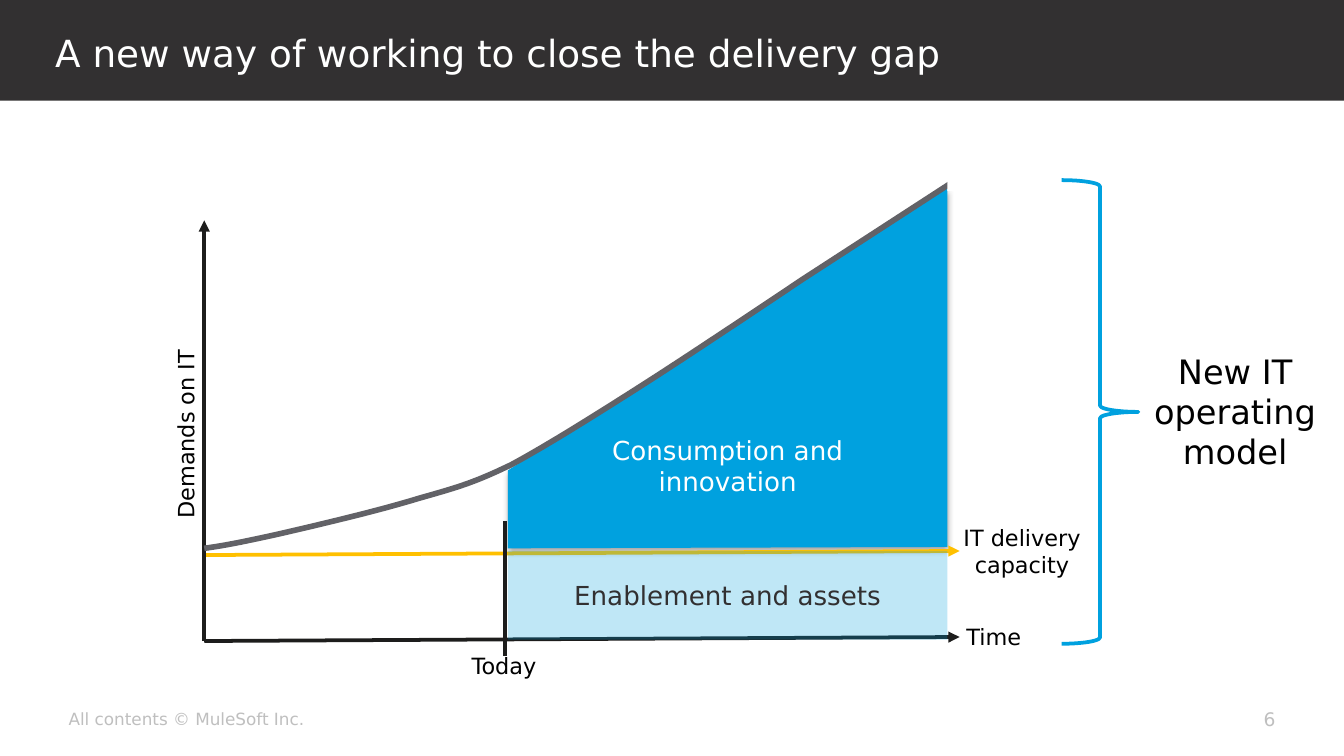
from dataclasses import dataclass
from typing import NamedTuple

from lxml.etree import SubElement
from pptx import Presentation
from pptx.dml.color import RGBColor
from pptx.enum.shapes import MSO_CONNECTOR, MSO_SHAPE
from pptx.enum.text import MSO_ANCHOR as Anchor, PP_ALIGN as Align
from pptx.oxml.ns import qn
from pptx.util import Inches, Pt


@dataclass(frozen=True)
class Theme:
    font: str = "DejaVu Sans"
    dark: str = "323031"
    axis: str = "1D1D1C"
    blue: str = "00A1DF"
    amber: str = "FFC000"
    curve: str = "626267"
    muted: str = "BFBFBF"
    black: str = "000000"
    white: str = "FFFFFF"
    title_size: int = 20
    callout_size: int = 18
    area_size: int = 14
    label_size: int = 12
    page_size: int = 10
    footer_size: int = 9


THEME = Theme()


class Box(NamedTuple):
    left: float
    top: float
    width: float
    height: float


class Point(NamedTuple):
    x: float
    y: float


@dataclass(frozen=True)
class Label:
    text: str
    box: Box
    size: int = THEME.label_size
    color: str = THEME.black
    align: Align = Align.LEFT
    anchor: Anchor = Anchor.TOP
    wrap: bool = False
    rotation: int = 0


@dataclass(frozen=True)
class Line:
    start: Point
    end: Point
    color: str = THEME.axis
    arrow: bool = True


SLIDE_WIDTH = 10
SLIDE_HEIGHT = SLIDE_WIDTH * 9 / 16
ORIGIN = Point(1.52, 4.77)
TODAY_X, AREA_RIGHT, ARROW_X = 3.78, 7.05, 7.14

LINES = [
    Line(ORIGIN, Point(ARROW_X, 4.74)),
    Line(Point(ORIGIN.x, 4.13), Point(ARROW_X, 4.1), THEME.amber),
    Line(Point(3.76, 4.88), Point(3.76, 3.88), arrow=False),
    Line(ORIGIN, Point(ORIGIN.x, 1.64)),
]

LABELS = [
    Label("Demands on IT", Box(0.73, 3.11, 1.3, 0.2), rotation=270),
    Label("Time", Box(7.19, 4.64, 0.41, 0.2)),
    Label("Today", Box(3.51, 4.85, 0.51, 0.2)),
    Label("IT delivery capacity", Box(7.14, 3.9, 0.93, 0.4), align=Align.CENTER, wrap=True),
    Label("New IT operating model", Box(8.58, 2.61, 1.22, 0.91), THEME.callout_size,
          align=Align.CENTER, wrap=True),
    Label("All contents © MuleSoft Inc.", Box(0.51, 5.2, 2.78, 0.3), THEME.footer_size,
          THEME.muted, anchor=Anchor.MIDDLE),
    Label("6", Box(8.93, 5.2, 0.56, 0.3), THEME.page_size, THEME.muted,
          Align.RIGHT, Anchor.MIDDLE),
]

# Demand curve: a start point, then two control points and an end per segment
DEMAND = [Point(*pair) for pair in (
    (1.52, 4.08), (1.67, 4.06), (1.82, 4.03), (2.09, 3.97),
    (2.35, 3.91), (2.82, 3.8), (3.11, 3.71),
    (3.39, 3.63), (3.51, 3.6), (3.8, 3.46),
    (4.08, 3.31), (4.46, 3.07), (4.82, 2.84),
    (5.18, 2.61), (5.97, 2.08), (5.97, 2.08),
)]


def bezier_points(knots: list[Point], steps: int = 16) -> list[Point]:
    points = [knots[0]]
    for first in range(0, len(knots) - 1, 3):
        controls = knots[first:first + 4]
        for step in range(1, steps + 1):
            t = step / steps
            weights = ((1 - t) ** 3, 3 * t * (1 - t) ** 2, 3 * t * t * (1 - t), t ** 3)
            points.append(Point(sum(w * p.x for w, p in zip(weights, controls)),
                                sum(w * p.y for w, p in zip(weights, controls))))
    return points


def style(shape, fill: str | None = None, line: str | None = None, width: float = 2):
    shape.shadow.inherit = False
    if fill:
        shape.fill.solid()
        shape.fill.fore_color.rgb = RGBColor.from_string(fill)
    else:
        shape.fill.background()
    if line:
        shape.line.color.rgb = RGBColor.from_string(line)
        shape.line.width = Pt(width)
    else:
        shape.line.fill.background()
    return shape


def write(shape, text: str, *, size: int, color: str, align: Align = Align.CENTER,
          anchor: Anchor = Anchor.MIDDLE, wrap: bool = True,
          insets: tuple = (0, 0, 0, 0), spacing: float | None = None) -> None:
    frame = shape.text_frame
    frame.word_wrap, frame.vertical_anchor = wrap, anchor
    frame.margin_left, frame.margin_top, frame.margin_right, frame.margin_bottom = map(Inches, insets)
    frame.text = text
    paragraph = frame.paragraphs[0]
    paragraph.alignment = align
    if spacing:
        paragraph.line_spacing = Pt(spacing)
    font = paragraph.runs[0].font
    font.name, font.size = THEME.font, Pt(size)
    font.color.rgb = RGBColor.from_string(color)


def add_preset(slide, kind: MSO_SHAPE, box: Box, **look):
    return style(slide.shapes.add_shape(kind, *map(Inches, box)), **look)


def add_path(slide, points: list[Point], close: bool, **look):
    corners = [(Inches(p.x), Inches(p.y)) for p in points]
    builder = slide.shapes.build_freeform(*corners[0])
    builder.add_line_segments(corners[1:], close=close)
    return style(builder.convert_to_shape(), **look)


def add_line(slide, line: Line) -> None:
    connector = slide.shapes.add_connector(
        MSO_CONNECTOR.STRAIGHT, *map(Inches, (*line.start, *line.end)))
    connector.line.color.rgb = RGBColor.from_string(line.color)
    connector.line.width = Pt(2)
    if line.arrow:
        SubElement(connector.line._get_or_add_ln(), qn("a:tailEnd"), type="triangle")
    SubElement(connector._element.spPr, qn("a:effectLst"))


def add_label(slide, label: Label) -> None:
    shape = slide.shapes.add_textbox(*map(Inches, label.box))
    shape.rotation = label.rotation
    write(shape, label.text, size=label.size, color=label.color, align=label.align,
          anchor=label.anchor, wrap=label.wrap)


def add_shadow(shape) -> None:
    effects = shape._element.spPr.find(qn("a:effectLst"))
    shadow = SubElement(effects, qn("a:outerShdw"), blurRad=str(Pt(3.1)), dist=str(Pt(1.8)),
                        dir="5400000", rotWithShape="0")
    color = SubElement(shadow, qn("a:srgbClr"), val=THEME.black)
    SubElement(color, qn("a:alpha"), val="35000")


def main() -> None:
    presentation = Presentation()
    presentation.slide_width, presentation.slide_height = Inches(SLIDE_WIDTH), Inches(SLIDE_HEIGHT)
    slide = presentation.slides.add_slide(presentation.slide_layouts[5])

    # Title on a dark band, with the band sent to the back
    band = add_preset(slide, MSO_SHAPE.RECTANGLE, Box(-0.01, 0, 10.01, 0.75), fill=THEME.dark)
    slide.shapes._spTree.insert(2, band._element)
    title = slide.shapes.title
    title.left, title.top, title.width, title.height = map(Inches, (0.41, 0.09, 8.27, 0.6))
    write(title, "A new way of working to close the delivery gap", size=THEME.title_size,
          color=THEME.white, align=Align.LEFT, spacing=24)

    # Gap between demand and capacity
    gap = add_path(slide, [Point(TODAY_X, 3.5), Point(TODAY_X, 4.08), Point(AREA_RIGHT, 4.07),
                           Point(AREA_RIGHT, 1.4)], close=True, fill=THEME.blue)
    add_shadow(gap)
    write(gap, "Consumption and innovation", size=THEME.area_size, color=THEME.white,
          insets=(0.5, 1.5, 0.5, 0.05))

    # Axes, capacity line and today marker
    for line in LINES:
        add_line(slide, line)

    # Demand curve, trimmed at the right edge of the area
    add_path(slide, bezier_points(DEMAND) + [Point(7.08, 1.36)], close=False,
             line=THEME.curve, width=3)
    add_preset(slide, MSO_SHAPE.RECTANGLE, Box(AREA_RIGHT, 1.3, 0.14, 0.12), fill=THEME.white)

    # Translucent area below capacity
    assets = add_preset(slide, MSO_SHAPE.RECTANGLE,
                        Box(TODAY_X, 4.1, AREA_RIGHT - TODAY_X, 0.66), fill=THEME.blue)
    fill_color = assets._element.spPr.find(qn("a:solidFill"))[0]
    SubElement(fill_color, qn("a:alpha"), val="25000")
    write(assets, "Enablement and assets", size=THEME.area_size, color=THEME.dark,
          insets=(0.4, 0.05, 0.4, 0.05))

    # Brace and all labels
    add_preset(slide, MSO_SHAPE.RIGHT_BRACE, Box(7.9, 1.34, 0.57, 3.45), line=THEME.blue)
    for label in LABELS:
        add_label(slide, label)

    presentation.save("out.pptx")


if __name__ == "__main__":
    main()
